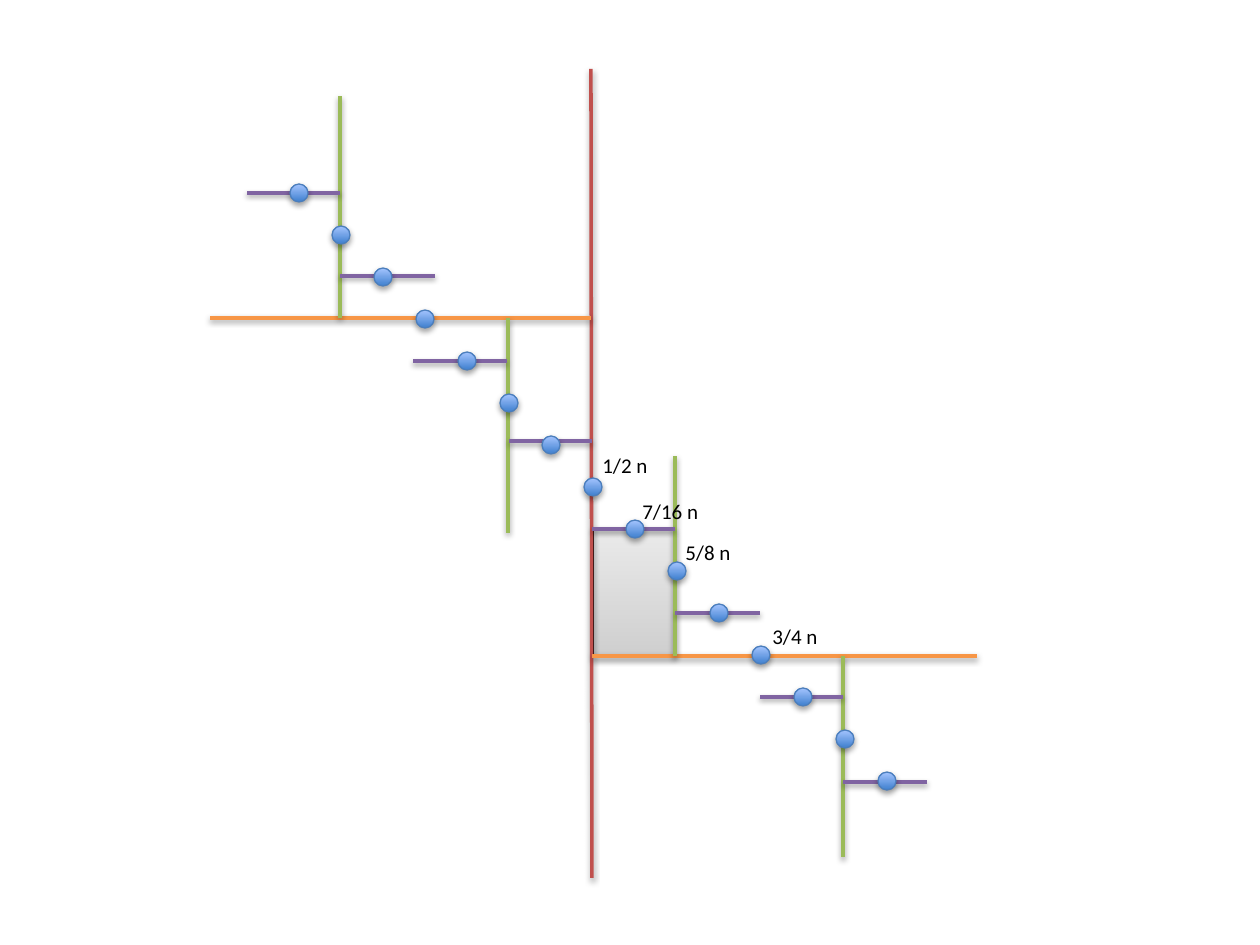
from lxml import etree
from pptx import Presentation
from pptx import util as u
from pptx.dml import color
from pptx.enum import shapes, text
from pptx.oxml import ns

PX = 914400 / 126
COLOURS = {
    "root": "C0504D",
    "half": "F79646",
    "quarter": "9BBB59",
    "eighth": "8064A2",
    "dot_dark": "3F80CE",
    "dot_light": "A4C4FF",
    "dot_edge": "4B7EBC",
    "region_light": "BDBDBD",
    "black": "000000",
}
SPLITS = {
    "root": [(591, 69, 592, 878)],
    "half": [(977, 656, 592, 656), (591, 318, 210, 318)],
    "quarter": [
        (675, 656, 675, 456),
        (843, 857, 843, 656),
        (508, 533, 508, 318),
        (340, 318, 340, 96),
    ],
    "eighth": [
        (435, 276, 340, 276),
        (340, 193, 247, 193),
        (507, 361, 413, 361),
        (592, 441, 509, 441),
        (675, 529, 592, 529),
        (760, 613, 675, 613),
        (843, 697, 760, 697),
        (927, 782, 843, 782),
    ],
}
LABELS = [
    ("1/2 n", 590, 446, 78),
    ("3/4 n", 760, 617, 91),
    ("5/8 n", 673, 533, 78),
    ("7/16 n", 630, 492, 102),
]
DOT_COUNT, DOT_SIZE, DOT_STEP = 15, 18, 42
DOT_LEFT, DOT_TOP = 290, 184


def px(*lengths):
    return [u.Emu(round(length * PX)) for length in lengths]


def rgb(name):
    return color.RGBColor.from_string(COLOURS[name])


def add_gradient_shape(slide, kind, box, stops, edge, opacity=100):
    shape = slide.shapes.add_shape(kind, *px(*box))
    shape.fill.gradient()
    shape.fill.gradient_angle = 90
    for stop, name in zip(shape.fill.gradient_stops, stops):
        stop.color.rgb = rgb(name)
    if opacity < 100:
        for value in shape._element.spPr.iter(ns.qn("a:srgbClr")):
            etree.SubElement(value, ns.qn("a:alpha"), val=str(opacity * 1000))
    shape.line.color.rgb = rgb(edge)
    shape.line.width = u.Pt(0.75)


def add_split(slide, ends, name):
    connector = slide.shapes.add_connector(shapes.MSO_CONNECTOR.STRAIGHT, *px(*ends))
    connector.line.color.rgb = rgb(name)
    connector.line.width = u.Pt(2)


def add_label(slide, wording, left, top, width):
    frame = slide.shapes.add_textbox(*px(left, top, width, 38)).text_frame
    frame.word_wrap = True
    frame.auto_size = text.MSO_AUTO_SIZE.SHAPE_TO_FIT_TEXT
    paragraph = frame.paragraphs[0]
    paragraph.text = wording
    paragraph.font.name = "Calibri"
    paragraph.font.size = u.Pt(12)
    paragraph.font.color.rgb = rgb("black")


def main():
    presentation = Presentation()
    presentation.slide_width, presentation.slide_height = px(1260, 945)
    slide = presentation.slides.add_slide(presentation.slide_layouts[6])
    add_gradient_shape(
        slide, shapes.MSO_SHAPE.RECTANGLE, (593, 530, 82, 126),
        ("black", "region_light"), "black", opacity=14,
    )
    for name, lines in SPLITS.items():
        for ends in lines:
            add_split(slide, ends, name)
    for index in range(DOT_COUNT):
        offset = index * DOT_STEP
        add_gradient_shape(
            slide, shapes.MSO_SHAPE.FLOWCHART_CONNECTOR,
            (DOT_LEFT + offset, DOT_TOP + offset, DOT_SIZE, DOT_SIZE),
            ("dot_dark", "dot_light"), "dot_edge",
        )
    for label in LABELS:
        add_label(slide, *label)
    presentation.save("out.pptx")


if __name__ == "__main__":
    main()
